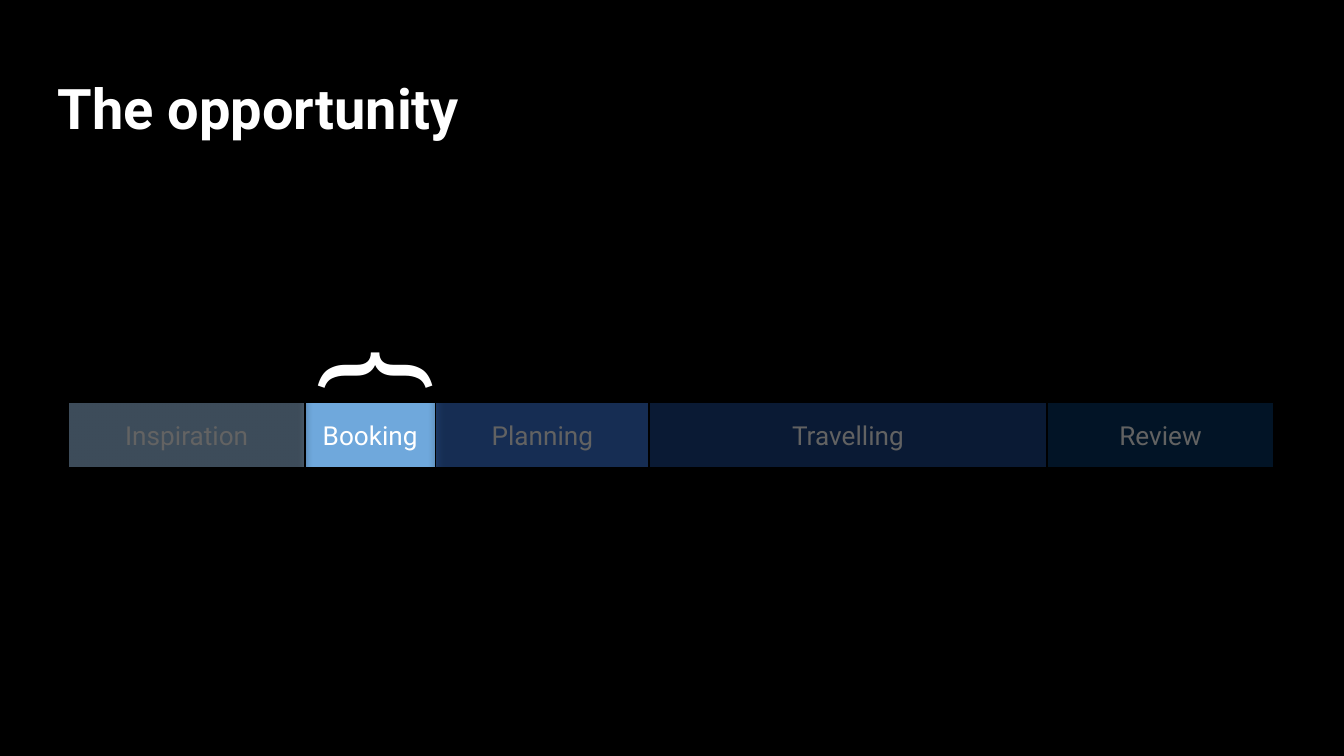
from lxml import etree
from pptx import Presentation
from pptx.dml.color import RGBColor
from pptx.enum.shapes import MSO_SHAPE
from pptx.enum.text import MSO_ANCHOR, PP_ALIGN
from pptx.oxml import parse_xml
from pptx.oxml.ns import nsdecls, qn
from pptx.util import Inches, Pt

RECT = MSO_SHAPE.RECTANGLE
MIDDLE, TOP = MSO_ANCHOR.MIDDLE, MSO_ANCHOR.TOP
CENTER, LEFT = PP_ALIGN.CENTER, PP_ALIGN.LEFT
FONT, WHITE, BLACK = "Roboto", "FFFFFF", "000000"

# Journey bar: label, width, fill
BAR_LEFT, BAR_TOP, BAR_HEIGHT = 0.51, 2.99, 0.49
STAGES = [
    ("Inspiration", 1.76, "9FC5E8"),
    ("Booking", 0.97, "6FA8DC"),
    ("Planning", 1.59, "3C78D8"),
    ("Travelling", 2.96, "1C4587"),
    ("Review", 1.69, "073763"),
]
# Veils that dim the stages on either side of Booking
VEILS = [(0.19, 2.89, 2.08, 0.77), (3.24, 2.85, 6.57, 0.77)]


def color(value):
    return RGBColor.from_string(value)


def write(sp, text, size, align=LEFT, anchor=TOP, bold=False):
    tf = sp.text_frame
    tf.word_wrap = True
    tf.vertical_anchor = anchor
    tf.margin_left = tf.margin_right = Inches(0.1)
    tf.margin_top = tf.margin_bottom = Inches(0.1)
    p = tf.paragraphs[0]
    p.text = text
    p.alignment = align
    p.font.name, p.font.size, p.font.bold = FONT, Pt(size), bold
    p.font.color.rgb = color(WHITE)


def add_text(s, box, text, size, bold=False, rotation=0):
    sp = s.shapes.add_textbox(*map(Inches, box))
    sp.rotation = rotation
    write(sp, text, size, bold=bold)


def add_rect(s, box, fill):
    sp = s.shapes.add_shape(RECT, *map(Inches, box))
    sp.shadow.inherit = False
    sp.fill.solid()
    sp.fill.fore_color.rgb = color(fill)
    return sp


def add_stage(s, box, label, fill):
    sp = add_rect(s, box, fill)
    sp.line.color.rgb = color(BLACK)
    sp.line.width = Pt(0.75)
    write(sp, label, 14, CENTER, MIDDLE)


def add_veil(s, box):
    sp = add_rect(s, box, BLACK)
    sp.line.fill.background()
    # Translucent fill and soft shadow
    props = sp._element.spPr
    tint = props.find(qn("a:solidFill")).find(qn("a:srgbClr"))
    etree.SubElement(tint, qn("a:alpha"), val="44000")
    props.find(qn("a:effectLst")).append(parse_xml(
        f'<a:outerShdw {nsdecls("a")} blurRad="{Pt(4.5)}" dist="{Pt(1.5)}" '
        f'dir="5400000" algn="bl" rotWithShape="0"><a:srgbClr val="{BLACK}">'
        '<a:alpha val="70000"/></a:srgbClr></a:outerShdw>'))


def main():
    # Widescreen, 16:9
    prs = Presentation()
    prs.slide_width = Inches(10)
    prs.slide_height = prs.slide_width * 9 // 16
    s = prs.slides.add_slide(prs.slide_layouts[6])
    s.background.fill.solid()
    s.background.fill.fore_color.rgb = color(BLACK)

    # Title
    add_text(s, (0.33, 0.45, 9.32, 0.7), "The opportunity", 30, bold=True)

    # Journey stages, side by side
    left = BAR_LEFT
    for label, width, fill in STAGES:
        add_stage(s, (left, BAR_TOP, width, BAR_HEIGHT), label, fill)
        left += width

    # Brace over Booking
    add_text(s, (2.54, 1.86, 0.67, 1.6), "}", 64, rotation=270)

    # Dimming veils
    for box in VEILS:
        add_veil(s, box)

    prs.save("out.pptx")


if __name__ == "__main__":
    main()
